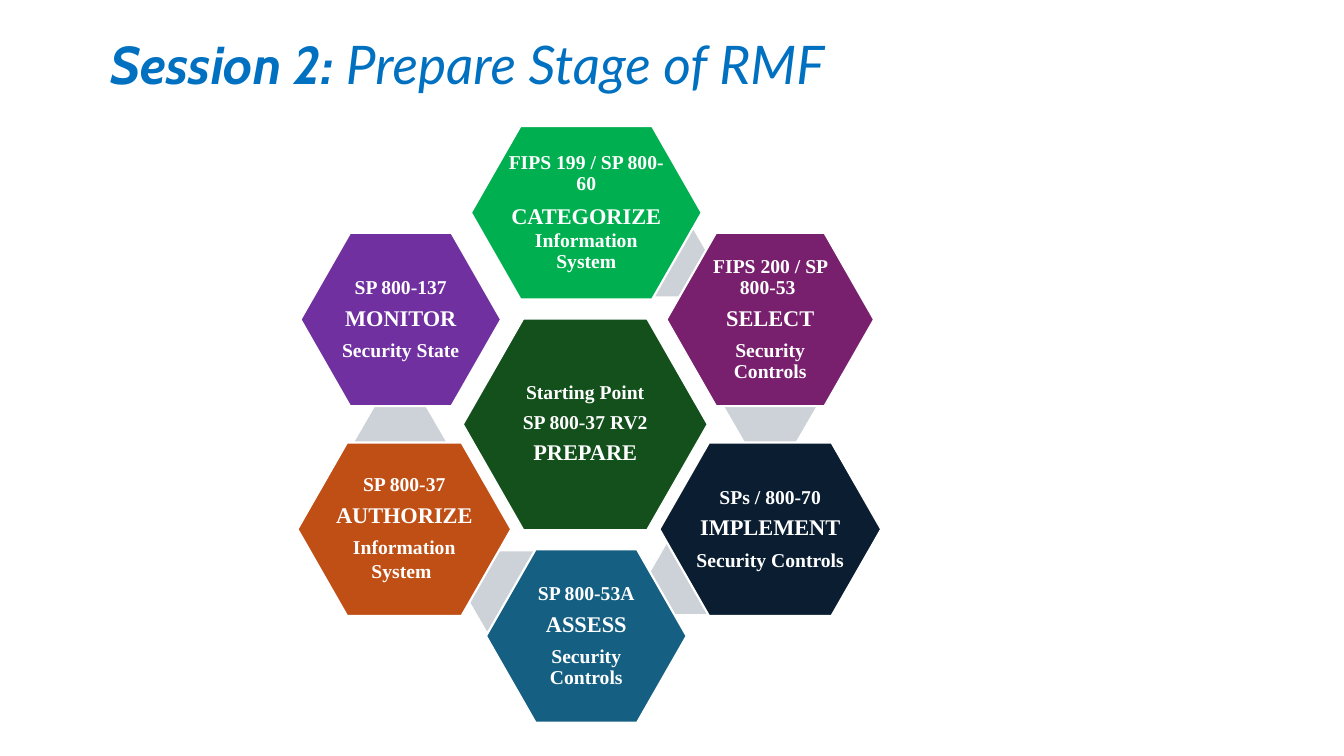
from pptx import Presentation
from pptx.dml.color import RGBColor
from pptx.enum import shapes, text
from pptx.util import Inches, Pt

COLORS = {
    "white": "FFFFFF", "link": "CCD2D8", "title": "0070C0",
    "prepare": "13501B", "categorize": "00B050", "select": "78206E",
    "implement": "0B1E31", "assess": "156082", "authorize": "C04F15",
    "monitor": "7030A0",
}
SMALL, LARGE = 14, 16
STEP_HEIGHT = 1.72

# step, (left, top, width, height), link corner behind it, paragraphs of (text, size) runs
STEPS = [
    ("prepare", (4.59, 3.16, 2.43, 2.1), None,
     [[("Starting Point", SMALL)], [("SP 800-37 RV2", SMALL)], [("PREPARE", LARGE)]]),
    ("categorize", (4.67, 1.25, 2.29, STEP_HEIGHT), (6.11, 2.15),
     [[("FIPS 199 / SP 800-60", SMALL)],
      [("CATEGORIZE", LARGE), (" ", 18), ("Information System", SMALL)]]),
    ("select", (6.61, 2.31, 2.06, STEP_HEIGHT), (7.18, 3.63),
     [[("FIPS 200 / SP 800-53 ", SMALL)], [("SELECT", LARGE)], [("Security Controls", SMALL)]]),
    ("implement", (6.54, 4.39, 2.2, STEP_HEIGHT), (6.44, 5.3),
     [[("SPs / 800-70", SMALL)], [("IMPLEMENT", LARGE)], [("Security Controls", SMALL)]]),
    ("assess", (4.82, 5.45, 1.99, STEP_HEIGHT), (4.6, 5.47),
     [[("SP 800-53A", SMALL)], [("ASSESS", LARGE)], [("Security Controls", SMALL)]]),
    ("authorize", (2.95, 4.39, 2.12, STEP_HEIGHT), (3.51, 4),
     [[("SP 800-37", SMALL)], [("AUTHORIZE", LARGE)],
      [("Information System", SMALL), (" ", LARGE)]]),
    ("monitor", (2.98, 2.31, 1.99, STEP_HEIGHT), None,
     [[("SP 800-137", SMALL)], [("MONITOR", LARGE)], [("Security State", SMALL)]]),
]


def add_hexagon(group, box, color, adjustment):
    shape = group.shapes.add_shape(shapes.MSO_SHAPE.HEXAGON, *map(Inches, box))
    shape.adjustments[0] = adjustment
    shape.shadow.inherit = False
    shape.fill.solid()
    shape.fill.fore_color.rgb = RGBColor.from_string(COLORS[color])
    shape.line.fill.background()
    return shape


def add_run(paragraph, content, size, font_name, color, bold):
    run = paragraph.add_run()
    run.text = content
    run.font.size = Pt(size)
    run.font.name = font_name
    run.font.bold = bold
    run.font.color.rgb = RGBColor.from_string(COLORS[color])
    return run


presentation = Presentation()
presentation.slide_width = Inches(13.33)
presentation.slide_height = Inches(7.5)
slide = presentation.slides.add_slide(presentation.slide_layouts[6])

cycle = slide.shapes.add_group_shape()
for step, box, link_corner, paragraphs in STEPS:
    if link_corner:
        add_hexagon(cycle, (*link_corner, 0.92, 0.79), "link", 0.29)
    hexagon = add_hexagon(cycle, box, step, 0.286)
    hexagon.line.color.rgb = RGBColor.from_string(COLORS["white"])
    hexagon.line.width = Pt(1.5)

    frame = hexagon.text_frame
    frame.word_wrap = True
    frame.vertical_anchor = text.MSO_ANCHOR.MIDDLE
    frame.margin_left = frame.margin_right = Inches(0.02)
    frame.margin_top = frame.margin_bottom = Inches(0.02)
    for index, runs in enumerate(paragraphs):
        paragraph = frame.add_paragraph() if index else frame.paragraphs[0]
        paragraph.alignment = text.PP_ALIGN.CENTER
        paragraph.line_spacing = 0.9
        paragraph.space_after = Pt(0.42 * runs[0][1])
        for content, size in runs:
            add_run(paragraph, content, size, "Times New Roman", "white", True)

title = slide.shapes.add_textbox(Inches(1), Inches(0.33), Inches(11.5), Inches(0.77))
title.text_frame.word_wrap = True
heading = title.text_frame.paragraphs[0]
heading.line_spacing = 0.9
for content, font_name, bold in [("Session 2: ", "Cabin", True),
                                 ("Prepare Stage of RMF", "Lato", False)]:
    add_run(heading, content, 38, font_name, "title", bold).font.italic = True

presentation.save("out.pptx")
